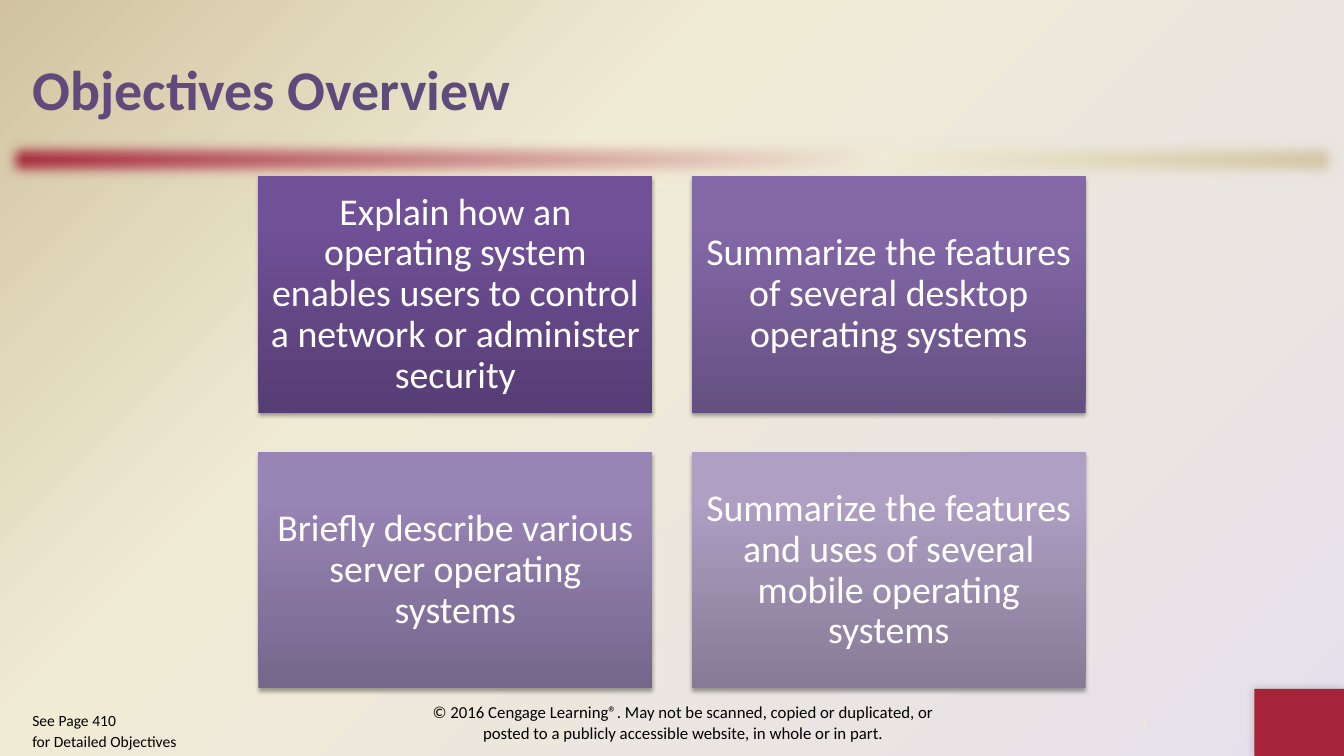
from dataclasses import dataclass

from lxml import etree
from pptx import Presentation
from pptx.dml.color import RGBColor
from pptx.enum.shapes import MSO_SHAPE
from pptx.enum.text import MSO_ANCHOR, PP_ALIGN
from pptx.oxml.ns import qn
from pptx.util import Pt

RECTANGLE = MSO_SHAPE.RECTANGLE
TOP, MIDDLE = MSO_ANCHOR.TOP, MSO_ANCHOR.MIDDLE
LEFT, CENTER = PP_ALIGN.LEFT, PP_ALIGN.CENTER

TITLE = "Objectives Overview"
OBJECTIVES = [
    ("Explain how an operating system enables users to control a network or administer security",
     ("563D74", "705097", "704F99")),
    ("Summarize the features of several desktop operating systems",
     ("655081", "8468A8", "8467AA")),
    ("Briefly describe various server operating systems",
     ("75668B", "9884B5", "9984B7")),
    ("Summarize the features and uses of several mobile operating systems",
     ("867B96", "AE9FC3", "AE9FC4")),
]
COPYRIGHT = ("© 2016 Cengage Learning®. May not be scanned, copied or duplicated, "
             "or posted to a publicly accessible website, in whole or in part.")
PAGE_REFERENCE = ["See Page 410", "for Detailed Objectives"]
SLIDE_NUMBER = "3"


@dataclass(frozen=True)
class Theme:
    font: str = "Calibri"
    purple: str = "604A7B"
    red: str = "A52439"
    cream: str = "F0EBD5"
    tan: str = "D1C39F"
    lilac: str = "E6E0EC"
    white: str = "FFFFFF"
    black: str = "000000"
    title_size: float = 40
    objective_size: float = 27
    footer_size: float = 12
    reference_size: float = 11.1


THEME = Theme()
SLIDE_WIDTH, SLIDE_HEIGHT = 960, 540
COLUMNS = 2
BOX_WIDTH, BOX_HEIGHT, GAP = 281.4, 168.8, 28.14
GRID_TOP = 126
GRID_LEFT = (SLIDE_WIDTH - COLUMNS * BOX_WIDTH - GAP) / 2


def add_gradient(fill, parent, colors, middle, angle=None):
    fill.solid()
    solid = parent.find(qn("a:solidFill"))
    gradient = etree.Element(qn("a:gradFill"), rotWithShape="1")
    stops = etree.SubElement(gradient, qn("a:gsLst"))
    for position, color in zip((0, middle, 100), colors):
        stop = etree.SubElement(stops, qn("a:gs"), pos=str(position * 1000))
        etree.SubElement(stop, qn("a:srgbClr"), val=color)
    if angle is None:
        radial = etree.SubElement(gradient, qn("a:path"), path="circle")
        etree.SubElement(radial, qn("a:fillToRect"), l="100000", t="100000")
    else:
        etree.SubElement(gradient, qn("a:lin"), ang=str(angle * 60000), scaled="0")
    parent.replace(solid, gradient)


def add_rectangle(page, left, top, width, height):
    box = page.shapes.add_shape(RECTANGLE, Pt(left), Pt(top), Pt(width), Pt(height))
    box.shadow.inherit = False
    box.line.fill.background()
    return box


def add_shadow(box, alpha, blur, distance, direction):
    effects = box.element.spPr.find(qn("a:effectLst"))
    shadow = etree.SubElement(
        effects, qn("a:outerShdw"), blurRad=str(Pt(blur)), dist=str(Pt(distance)),
        dir=str(direction * 60000), algn="ctr", rotWithShape="0")
    color = etree.SubElement(shadow, qn("a:srgbClr"), val=THEME.black)
    etree.SubElement(color, qn("a:alpha"), val=str(alpha * 1000))


def set_text(box, lines, size, color, bold=False, align=LEFT, anchor=MIDDLE,
             margins=(7.2, 3.6), line_spacing=None, space_between=0):
    frame = box.text_frame
    frame.word_wrap = True
    frame.vertical_anchor = anchor
    frame.margin_left = frame.margin_right = Pt(margins[0])
    frame.margin_top = frame.margin_bottom = Pt(margins[1])
    for index, line in enumerate(lines):
        para = frame.paragraphs[0] if index == 0 else frame.add_paragraph()
        para.alignment = align
        para.space_before = Pt(space_between if index else 0)
        if line_spacing:
            para.line_spacing = line_spacing
        span = para.add_run()
        span.text = line
        span.font.name = THEME.font
        span.font.size = Pt(size)
        span.font.bold = bold
        span.font.color.rgb = RGBColor.from_string(color)


def add_label(page, left, top, width, height, lines, size, color, **text_format):
    label = page.shapes.add_textbox(Pt(left), Pt(top), Pt(width), Pt(height))
    set_text(label, lines, size, color, **text_format)


def add_backdrop(page):
    fill = page.background.fill
    fill.solid()
    background = page.element.cSld.find(qn("p:bg")).find(qn("p:bgPr"))
    add_gradient(fill, background, (THEME.lilac, THEME.cream, THEME.tan), 65)

    bar = add_rectangle(page, 0, 96, SLIDE_WIDTH, 36)
    add_gradient(bar.fill, bar.element.spPr, (THEME.red, THEME.cream, THEME.tan), 65, angle=45)
    effects = bar.element.spPr.find(qn("a:effectLst"))
    etree.SubElement(effects, qn("a:softEdge"), rad=str(Pt(10)))

    corner = add_rectangle(page, 896, 492, 64, 48)
    corner.fill.solid()
    corner.fill.fore_color.rgb = RGBColor.from_string(THEME.red)
    add_shadow(corner, alpha=20, blur=6, distance=0, direction=225)


def add_objectives(page):
    for index, (text, colors) in enumerate(OBJECTIVES):
        row, column = divmod(index, COLUMNS)
        box = add_rectangle(page, GRID_LEFT + column * (BOX_WIDTH + GAP),
                            GRID_TOP + row * (BOX_HEIGHT + GAP), BOX_WIDTH, BOX_HEIGHT)
        add_gradient(box.fill, box.element.spPr, colors, 80, angle=270)
        add_shadow(box, alpha=35, blur=3.1, distance=1.8, direction=90)
        set_text(box, [text], THEME.objective_size, THEME.white, align=CENTER,
                 margins=(8, 8), line_spacing=0.9)


def main():
    deck = Presentation()
    deck.slide_width, deck.slide_height = Pt(SLIDE_WIDTH), Pt(SLIDE_HEIGHT)
    page = deck.slides.add_slide(deck.slide_layouts[5])
    add_backdrop(page)

    title = page.shapes.title
    title.left, title.top, title.width, title.height = Pt(16), Pt(12), Pt(928), Pt(102)
    set_text(title, [TITLE], THEME.title_size, THEME.purple, bold=True)

    add_objectives(page)
    add_label(page, 288, 498, 400, 36, [COPYRIGHT], THEME.footer_size, THEME.black, align=CENTER)
    add_label(page, 16, 504, 176, 36, PAGE_REFERENCE, THEME.reference_size, THEME.black,
              anchor=TOP, space_between=2.2)
    add_label(page, 796, 498, 40, 36, [SLIDE_NUMBER], THEME.footer_size, THEME.cream, align=CENTER)
    deck.save("out.pptx")


if __name__ == "__main__":
    main()
